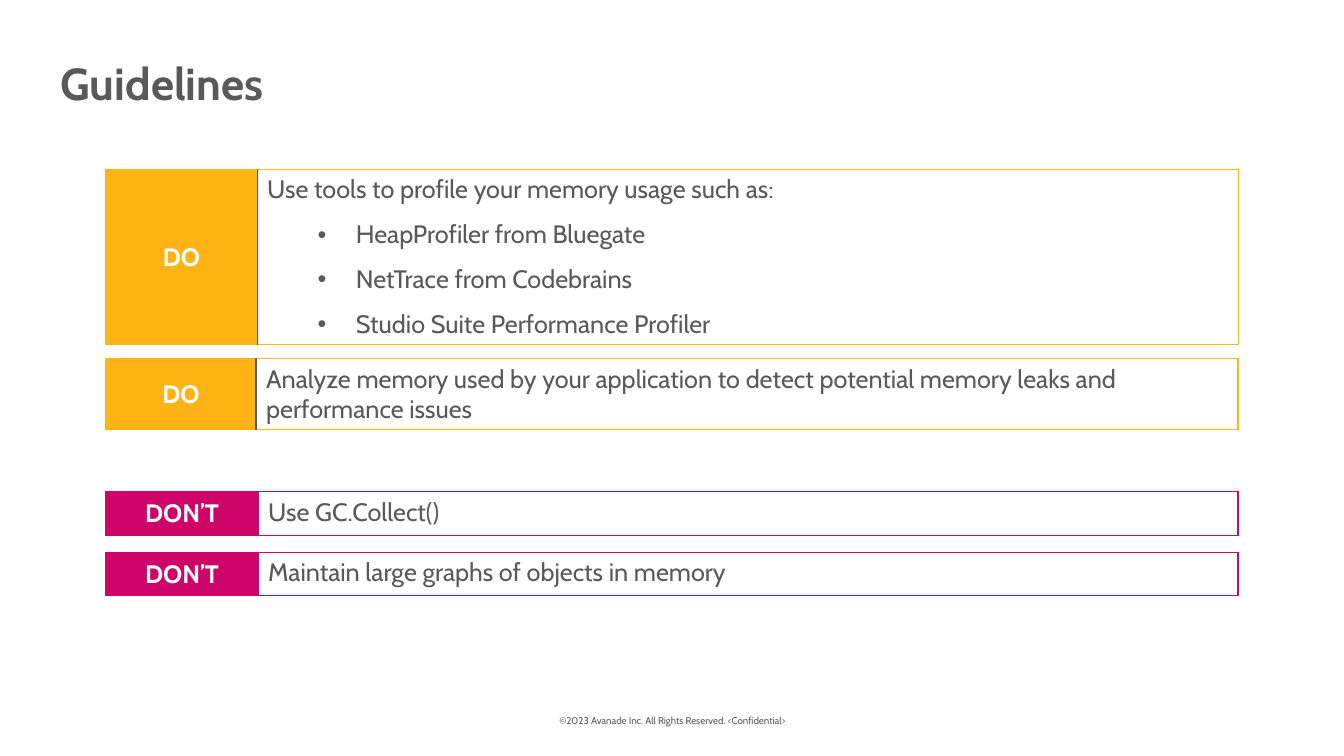
from lxml import etree
from pptx import Presentation
from pptx.dml.color import RGBColor
from pptx.enum.text import MSO_ANCHOR, PP_ALIGN
from pptx.oxml.ns import qn
from pptx.util import Inches, Pt

FONT = "Cabin"
GREY = RGBColor(0x59, 0x59, 0x59)
WHITE = RGBColor(0xFF, 0xFF, 0xFF)
AMBER = RGBColor(0xFF, 0xB3, 0x14)
MAGENTA = RGBColor(0xCE, 0x05, 0x69)

TABLE_LEFT, TABLE_WIDTH = 1.05, 11.23

# Label, colour, divider colour, top, row height, label width, text, bullets
GUIDELINES = [
    ("DO", AMBER, GREY, 1.68, 1.74, 1.5,
     "Use tools to profile your memory usage such as:",
     ["HeapProfiler from Bluegate", "NetTrace from Codebrains",
      "Studio Suite Performance Profiler"]),
    ("DO", AMBER, GREY, 3.56, 0.7, 1.49,
     "Analyze memory used by your application to detect potential "
     "memory leaks and performance issues", []),
    ("DON’T", MAGENTA, MAGENTA, 4.88, 0.43, 1.51, "Use GC.Collect()", []),
    ("DON’T", MAGENTA, MAGENTA, 5.48, 0.43, 1.51,
     "Maintain large graphs of objects in memory", []),
]


def format_runs(paragraph, size, color, bold=False):
    for run in paragraph.runs:
        run.font.name = FONT
        run.font.size = Pt(size)
        run.font.bold = bold
        run.font.color.rgb = color


def set_borders(cell, left, right, top, bottom):
    properties = cell._tc.get_or_add_tcPr()
    sides = {"a:lnL": left, "a:lnR": right, "a:lnT": top, "a:lnB": bottom}
    for position, (tag, color) in enumerate(sides.items()):
        line = etree.Element(qn(tag), w=str(Pt(1)))
        fill = etree.SubElement(line, qn("a:solidFill"))
        etree.SubElement(fill, qn("a:srgbClr"), val=str(color))
        properties.insert(position, line)


def add_bullet(text_frame, text):
    paragraph = text_frame.add_paragraph()
    paragraph.text = text
    paragraph.level = 2
    properties = paragraph._p.get_or_add_pPr()
    properties.set("marL", str(Inches(0.88)))
    properties.set("indent", str(Inches(-0.38)))
    etree.SubElement(properties, qn("a:buFont"), typeface="Arial")
    etree.SubElement(properties, qn("a:buChar"), char="•")
    paragraph.space_before = Pt(10)
    format_runs(paragraph, 18, GREY)


def add_guideline(slide, label, color, divider, top, height, label_width, text, bullets):
    shape = slide.shapes.add_table(1, 2, Inches(TABLE_LEFT), Inches(top),
                                   Inches(TABLE_WIDTH), Inches(height))
    table = shape.table
    table.first_row = False
    table.horz_banding = False
    table.columns[0].width = Inches(label_width)
    table.columns[1].width = Inches(TABLE_WIDTH - label_width)

    # Coloured label
    label_cell = table.cell(0, 0)
    label_cell.fill.solid()
    label_cell.fill.fore_color.rgb = color
    label_cell.vertical_anchor = MSO_ANCHOR.MIDDLE
    label_cell.text_frame.text = label
    paragraph = label_cell.text_frame.paragraphs[0]
    paragraph.alignment = PP_ALIGN.CENTER
    format_runs(paragraph, 18, WHITE, bold=True)
    set_borders(label_cell, color, divider, color, color)

    # Advice
    advice_cell = table.cell(0, 1)
    advice_cell.fill.background()
    advice_cell.text_frame.text = text
    format_runs(advice_cell.text_frame.paragraphs[0], 18, GREY)
    for bullet in bullets:
        add_bullet(advice_cell.text_frame, bullet)
    set_borders(advice_cell, divider, color, color, color)


def add_title(slide, text):
    title = slide.shapes.title
    title.left, title.top = Inches(0.5), Inches(0.5)
    title.width, title.height = Inches(12.25), Inches(0.66)
    title.text_frame.text = text
    title.text_frame.vertical_anchor = MSO_ANCHOR.TOP
    paragraph = title.text_frame.paragraphs[0]
    paragraph.alignment = PP_ALIGN.LEFT
    format_runs(paragraph, 32, GREY, bold=True)


def add_footer(slide, text):
    footer = slide.shapes.add_textbox(Inches(4.42), Inches(6.95), Inches(4.5), Inches(0.4))
    footer.text_frame.word_wrap = True
    footer.text_frame.vertical_anchor = MSO_ANCHOR.MIDDLE
    footer.text_frame.text = text
    paragraph = footer.text_frame.paragraphs[0]
    paragraph.alignment = PP_ALIGN.CENTER
    format_runs(paragraph, 7, GREY)


def main():
    presentation = Presentation()
    presentation.slide_width = Inches(13.33)
    presentation.slide_height = Inches(7.5)
    slide = presentation.slides.add_slide(presentation.slide_layouts[5])

    add_footer(slide, "©2023 Avanade Inc. All Rights Reserved. <Confidential>")
    add_title(slide, "Guidelines")
    for guideline in GUIDELINES:
        add_guideline(slide, *guideline)

    presentation.save("out.pptx")


if __name__ == "__main__":
    main()
